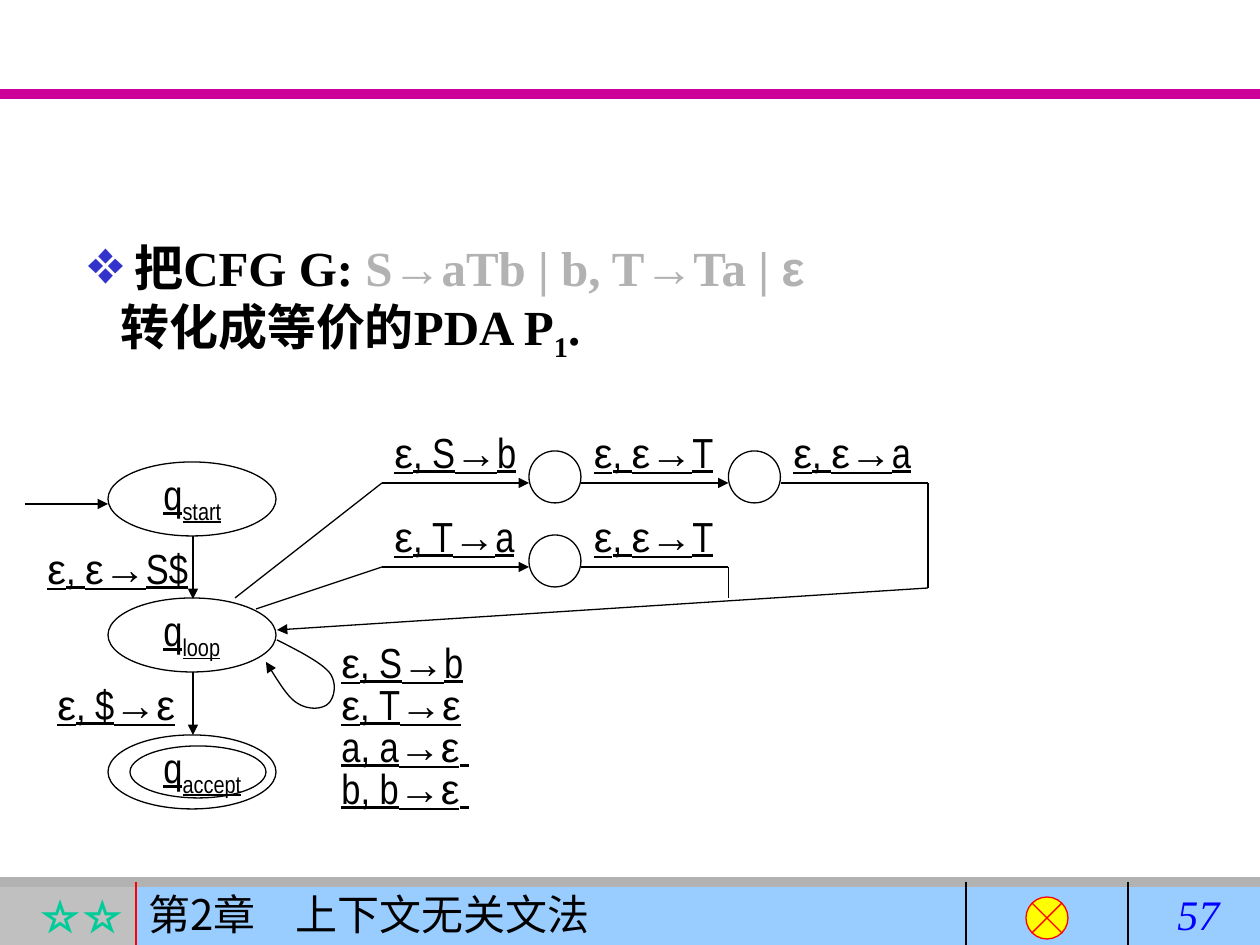
import itertools

import pptx
import pptx.dml.color
import pptx.enum.shapes
import pptx.enum.text
import pptx.oxml
import pptx.oxml.ns
import pptx.util
from lxml import etree

SCALE = 914400 // 126
SHAPE = pptx.enum.shapes.MSO_SHAPE
ALIGN = pptx.enum.text.PP_ALIGN
NARROW, ARIAL, TIMES, CJK = "Arial Narrow", "Arial", "Times New Roman", "Noto Sans CJK SC"


def px(n):
    return pptx.util.Emu(round(n * SCALE))


def rgb(value):
    return pptx.dml.color.RGBColor.from_string(value)


def add(parent, tag, **attrs):
    el = etree.SubElement(parent, pptx.oxml.ns.qn(tag))
    for key, value in attrs.items():
        el.set(key, str(value))
    return el


def write(p, text, size=24, font=TIMES, color="000000", bold=False,
          italic=False, underline=False, sub=False):
    r = p.add_run()
    r.text = text
    r.font.size = pptx.util.Pt(size)
    r.font.name = font
    r.font.color.rgb = rgb(color)
    r.font.bold, r.font.italic, r.font.underline = bold, italic, underline
    if sub:
        r.font._element.set("baseline", "-25000")
    if any("\u4e00" <= ch <= "\u9fff" for ch in text):
        add(r.font._element, "a:ea", typeface=CJK)


def write_rule(p, text, font, **style):
    for symbol, chars in itertools.groupby(text, lambda ch: ch in "ε→"):
        write(p, "".join(chars), font=ARIAL if symbol else font, **style)


def bezier(p0, p1, p2, p3, steps=12):
    for i in range(1, steps + 1):
        t = i / steps
        u = 1 - t
        yield tuple(u**3 * a + 3 * u * u * t * b + 3 * u * t * t * c + t**3 * d
                    for a, b, c, d in zip(p0, p1, p2, p3))


class Board:
    def __init__(self, slide, line="000000", width=0.75):
        self.s = slide
        self.color = line
        self.width = width

    def stroke(self, line, color=None, width=None, arrow=False):
        line.color.rgb = rgb(color or self.color)
        line.width = pptx.util.Pt(width or self.width)
        if arrow:
            add(line._get_or_add_ln(), "a:tailEnd", type="triangle")

    def shape(self, kind, x, y, w, h, fill=None, line=None):
        sp = self.s.shapes.add_shape(kind, px(x), px(y), px(w), px(h))
        sp.shadow.inherit = False
        if fill:
            sp.fill.solid()
            sp.fill.fore_color.rgb = rgb(fill)
        else:
            sp.fill.background()
        if line:
            self.stroke(sp.line, line)
        else:
            sp.line.fill.background()
        return sp

    def band(self, x, y, w, h, fill, align=ALIGN.LEFT):
        tf = self.shape(SHAPE.RECTANGLE, x, y, w, h, fill).text_frame
        tf.word_wrap = True
        tf.vertical_anchor = pptx.enum.text.MSO_ANCHOR.TOP
        tf.paragraphs[0].alignment = align
        return tf.paragraphs[0]

    def ellipse(self, x, y, w, h):
        self.shape(SHAPE.OVAL, x, y, w, h, line=self.color)

    def box(self, x, y, w, h):
        tf = self.s.shapes.add_textbox(px(x), px(y), px(w), px(h)).text_frame
        tf.word_wrap = True
        return tf

    def line(self, x1, y1, x2, y2, **style):
        c = self.s.shapes.add_connector(
            pptx.enum.shapes.MSO_CONNECTOR.STRAIGHT, px(x1), px(y1), px(x2), px(y2))
        self.stroke(c.line, **style)
        add(c._element.spPr, "a:effectLst")

    def curve(self, start, *segments):
        points, last = [], start
        for segment in segments:
            points += bezier(last, *segment)
            last = segment[-1]
        fb = self.s.shapes.build_freeform(*map(px, start))
        fb.add_line_segments([tuple(map(px, point)) for point in points], close=False)
        sp = fb.convert_to_shape()
        sp.shadow.inherit = False
        sp.fill.background()
        self.stroke(sp.line, arrow=True)

    def label(self, x, y, text, w=168):
        write_rule(self.box(x, y, w, 63).paragraphs[0], text, NARROW, underline=True)

    def state(self, y, name):
        self.ellipse(108, y, 168, 74)
        p = self.box(151, y, 116, 70).paragraphs[0]
        write(p, "q", font=NARROW, underline=True)
        write(p, name, font=NARROW, underline=True, sub=True)


def draw_frame(board):
    board.line(0, 94, 1260, 94, color="CC0099", width=6)
    write(board.band(0, 882, 136, 63, "C0C0C0", ALIGN.RIGHT), "☆☆", color="00CC99", bold=True)
    p = board.band(136, 882, 1124, 63, "99CCFF")
    add(add(p._p.get_or_add_pPr(), "a:tabLst"), "a:tab", pos=px(147), algn="l")
    write(p, "第2章\t上下文无关文法", font=CJK)
    board.line(0, 882, 1260, 882, color="B2B2B2", width=6)
    for x, color in ((136, "FF0000"), (966, "000000"), (1128, "000000")):
        board.line(x, 882, x, 945, color=color)
    board.shape(SHAPE.FLOWCHART_SUMMING_JUNCTION, 1026, 897, 42, 42, "FFFF00", "FF0000")
    write(board.box(1165, 882, 95, 63).paragraphs[0], "57", color="0000FF", italic=True)


def draw_task(board):
    tf = board.box(74, 231, 1071, 179)
    p = tf.paragraphs[0]
    pPr = p._p.get_or_add_pPr()
    pPr.set("marL", str(px(48)))
    pPr.set("indent", str(px(-48)))
    add(add(pPr, "a:buClr"), "a:srgbClr", val="3333CC")
    add(pPr, "a:buFont", typeface=TIMES)
    add(pPr, "a:buChar", char="❖")
    write(p, "把CFG G: ", size=28, bold=True)
    write_rule(p, "S→aTb | b, T→Ta | ε", TIMES, size=28, bold=True, color="B2B2B2")
    p = tf.add_paragraph()
    p._p.get_or_add_pPr().set("marL", str(px(34)))
    write(p, "转化成等价的PDA P", size=28, bold=True)
    write(p, "1", size=28, bold=True, sub=True)
    write(p, ".", size=28, bold=True)


def draw_automaton(board):
    for y, name in ((462, "start"), (598, "loop"), (735, "accept")):
        board.state(y, name)
    board.ellipse(130, 746, 136, 52)
    board.line(25, 504, 108, 504, arrow=True)
    for y in (536, 672):
        board.line(193, y, 193, y + 63, arrow=True)
    board.label(35, 536, "ε, ε→S$", w=189)
    board.label(45, 672, "ε, $→ε", w=189)
    for i, text in enumerate(("ε, S→b", "ε, T→ε", "a, a→ε ", "b, b→ε ")):
        board.label(329, 630 + 42 * i, text, w=189)
    board.curve((277, 640),
                ((299, 651), (320, 662), (329, 672)),
                ((338, 683), (334, 698), (329, 703)),
                ((324, 709), (309, 711), (297, 703)),
                ((287, 697), (277, 679), (266, 662)))

    branches = ((483, (235, 598), ("ε, S→b", "ε, ε→T", "ε, ε→a"), 588),
                (567, (256, 609), ("ε, T→a", "ε, ε→T"), 598))
    for y, start, rules, drop in branches:
        board.line(*start, 382, y)
        for i, rule in enumerate(rules):
            x = 382 + 199.5 * i
            end = x + 147
            last = i == len(rules) - 1
            board.label(x, y - 63, rule)
            board.line(x, y, end, y, arrow=not last)
            if last:
                board.line(end, y, end, drop)
            else:
                board.ellipse(end, y - 32, 52, 52)
    board.line(928, 588, 277, 630, arrow=True)


def main():
    prs = pptx.Presentation()
    prs.slide_width, prs.slide_height = px(1260), px(945)
    board = Board(prs.slides.add_slide(prs.slide_layouts[6]))
    draw_frame(board)
    draw_task(board)
    draw_automaton(board)
    prs.save("out.pptx")


if __name__ == "__main__":
    main()
